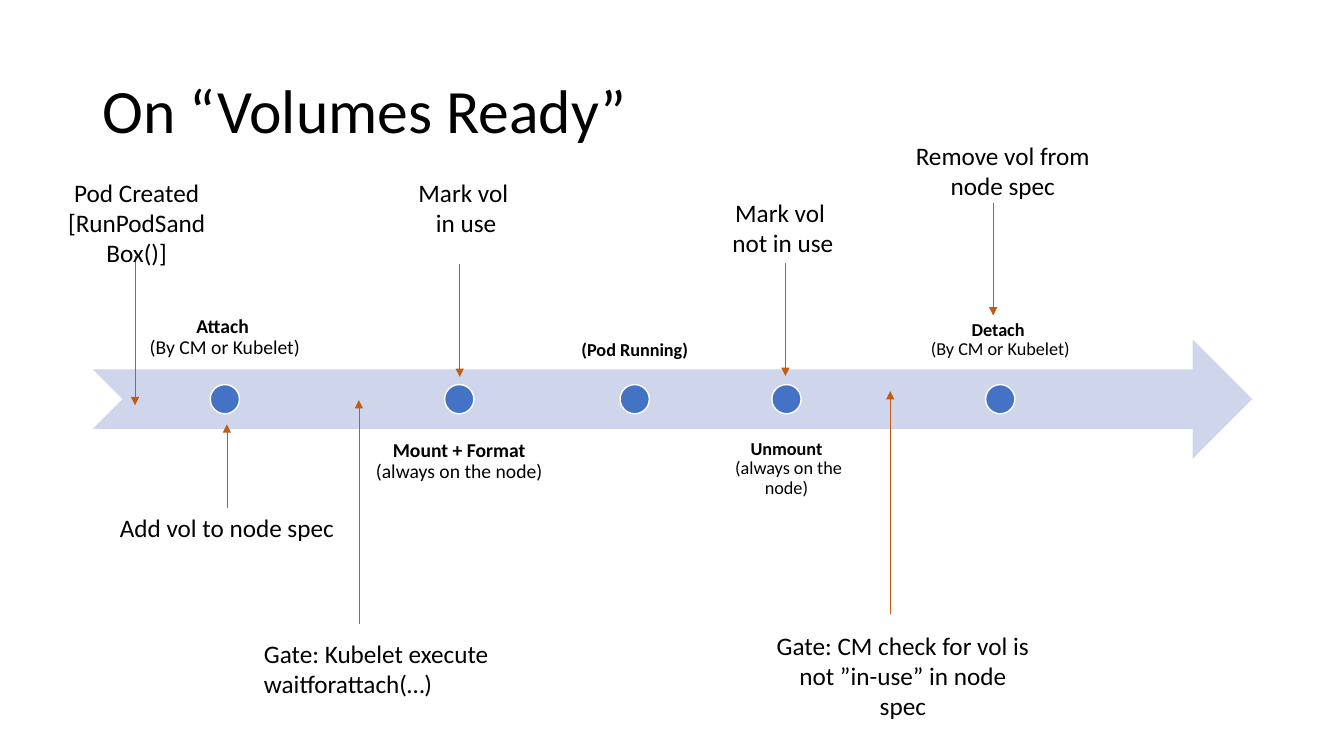
from dataclasses import dataclass

import pptx
import pptx.dml.color
import pptx.enum.shapes
import pptx.enum.text
import pptx.oxml
import pptx.oxml.ns
import pptx.slide
import pptx.text.text
import pptx.util

Inches = pptx.util.Inches
Align = pptx.enum.text.PP_ALIGN
Anchor = pptx.enum.text.MSO_ANCHOR
Preset = pptx.enum.shapes.MSO_SHAPE
RGB = pptx.dml.color.RGBColor


@dataclass(frozen=True)
class Theme:
    font: str = "Calibri"
    title_size: int = 44
    note_size: int = 18
    text: RGB = RGB(0x00, 0x00, 0x00)
    band: RGB = RGB(0xCF, 0xD5, 0xEA)
    dot: RGB = RGB(0x44, 0x72, 0xC4)
    dot_outline: RGB = RGB(0xFF, 0xFF, 0xFF)
    pointer: RGB = RGB(0xC5, 0x5A, 0x11)


@dataclass(frozen=True)
class Milestone:
    left: float
    width: float
    size: int
    inset: float
    above: bool
    name: str
    detail: str = ""


@dataclass(frozen=True)
class Note:
    text: str
    left: float
    top: float
    width: float
    height: float
    pointer_x: float
    pointer_start: float
    pointer_end: float
    align: Align = Align.CENTER


THEME = Theme()
BAND_LEFT, BAND_TOP, BAND_WIDTH, BAND_HEIGHT = 0.92, 3.37, 11.5, 1.18
LABEL_TOP_ABOVE, LABEL_TOP_BELOW = 2.49, 4.26
DOT_SIZE = 0.29

MILESTONES = [
    Milestone(0.92, 2.62, 14, 0.11, True, "Attach ", "(By CM or Kubelet)"),
    Milestone(3.59, 1.93, 14, 0.11, False, "Mount + Format", "(always on the node)"),
    Milestone(5.57, 1.45, 13, 0.1, True, "(Pod Running)"),
    Milestone(7.06, 1.48, 13, 0.1, False, "Unmount", " (always on the node)"),
    Milestone(8.58, 2.68, 13, 0.1, True, "Detach ", "(By CM or Kubelet)"),
]

NOTES = [
    Note("Gate: Kubelet execute waitforattach(…)",
         2.52, 6.28, 2.57, 0.71, 3.56, 6.19, 3.97, Align.LEFT),
    Note("Gate: CM check for vol is not ”in-use” in node spec",
         7.59, 6.2, 2.73, 1.01, 8.83, 6.09, 3.88),
    Note("Mark vol\v in use", 3.77, 1.71, 1.65, 0.71, 4.56, 2.62, 3.74),
    Note("Add vol to node spec",
         1.09, 5.03, 2.47, 0.4, 2.25, 5.04, 4.21, Align.LEFT),
    Note("Mark vol \vnot in use", 6.96, 1.91, 1.61, 0.71, 7.79, 2.61, 3.73),
    Note("Remove vol from node spec", 8.94, 1.34, 2.01, 0.71, 9.85, 2.01, 3.13),
    Note("Pod Created [RunPodSandBox()]",
         0.53, 1.71, 1.65, 1.01, 1.34, 2.54, 4.02),
]


def add_text_frame(slide: pptx.slide.Slide, left: float, top: float,
                   width: float, height: float,
                   anchor: Anchor = Anchor.TOP) -> pptx.text.text.TextFrame:
    frame = slide.shapes.add_textbox(
        Inches(left), Inches(top), Inches(width), Inches(height)).text_frame
    frame.word_wrap = True
    frame.vertical_anchor = anchor
    return frame


def style_paragraph(paragraph: pptx.text.text._Paragraph, size: int,
                    align: Align, line_spacing: float = 1.0) -> None:
    paragraph.alignment = align
    paragraph.line_spacing = line_spacing
    paragraph.font.name = THEME.font
    paragraph.font.size = pptx.util.Pt(size)
    paragraph.font.color.rgb = THEME.text


def add_title(slide: pptx.slide.Slide, text: str) -> None:
    frame = add_text_frame(slide, 0.92, 0.4, 11.5, 1.45, Anchor.MIDDLE)
    heading = frame.paragraphs[0]
    heading.text = text
    style_paragraph(heading, THEME.title_size, Align.LEFT, 0.9)


def add_band(slide: pptx.slide.Slide) -> None:
    band = slide.shapes.add_shape(
        Preset.NOTCHED_RIGHT_ARROW, Inches(BAND_LEFT), Inches(BAND_TOP),
        Inches(BAND_WIDTH), Inches(BAND_HEIGHT))
    band.shadow.inherit = False
    band.fill.solid()
    band.fill.fore_color.rgb = THEME.band
    band.line.fill.background()


def add_milestone(slide: pptx.slide.Slide, milestone: Milestone) -> None:
    top = LABEL_TOP_ABOVE if milestone.above else LABEL_TOP_BELOW
    anchor = Anchor.BOTTOM if milestone.above else Anchor.TOP
    frame = add_text_frame(
        slide, milestone.left, top, milestone.width, BAND_HEIGHT, anchor)
    inset = Inches(milestone.inset)
    frame.margin_left = frame.margin_right = inset
    frame.margin_top = frame.margin_bottom = inset
    label = frame.paragraphs[0]
    style_paragraph(label, milestone.size, Align.CENTER, 0.9)
    name = label.add_run()
    name.text = milestone.name
    name.font.bold = True
    if milestone.detail:
        label.add_line_break()
        label.add_run().text = milestone.detail

    dot = slide.shapes.add_shape(
        Preset.OVAL,
        Inches(milestone.left + (milestone.width - DOT_SIZE) / 2),
        Inches(BAND_TOP + (BAND_HEIGHT - DOT_SIZE) / 2),
        Inches(DOT_SIZE), Inches(DOT_SIZE))
    dot.shadow.inherit = False
    dot.fill.solid()
    dot.fill.fore_color.rgb = THEME.dot
    dot.line.color.rgb = THEME.dot_outline
    dot.line.width = pptx.util.Pt(1)


def add_note(slide: pptx.slide.Slide, note: Note) -> None:
    pointer = slide.shapes.add_connector(
        pptx.enum.shapes.MSO_CONNECTOR.STRAIGHT,
        Inches(note.pointer_x), Inches(note.pointer_start),
        Inches(note.pointer_x), Inches(note.pointer_end))
    pointer.line.color.rgb = THEME.pointer
    pointer.line.width = pptx.util.Pt(0.5)
    properties = pointer._element.spPr
    arrowhead = pptx.oxml.parse_xml(
        f'<a:tailEnd {pptx.oxml.ns.nsdecls("a")} type="triangle"/>')
    properties.find(pptx.oxml.ns.qn("a:ln")).append(arrowhead)
    properties.append(pptx.oxml.parse_xml(
        f'<a:effectLst {pptx.oxml.ns.nsdecls("a")}/>'))

    frame = add_text_frame(slide, note.left, note.top, note.width, note.height)
    frame.auto_size = pptx.enum.text.MSO_AUTO_SIZE.SHAPE_TO_FIT_TEXT
    caption = frame.paragraphs[0]
    caption.text = note.text
    style_paragraph(caption, THEME.note_size, note.align)


def main() -> None:
    presentation = pptx.Presentation()
    presentation.slide_width = Inches(13.33)
    presentation.slide_height = Inches(7.5)
    slide = presentation.slides.add_slide(presentation.slide_layouts[6])
    add_title(slide, "On “Volumes Ready”")
    add_band(slide)
    for milestone in MILESTONES:
        add_milestone(slide, milestone)
    for note in NOTES:
        add_note(slide, note)
    presentation.save("out.pptx")


if __name__ == "__main__":
    main()
